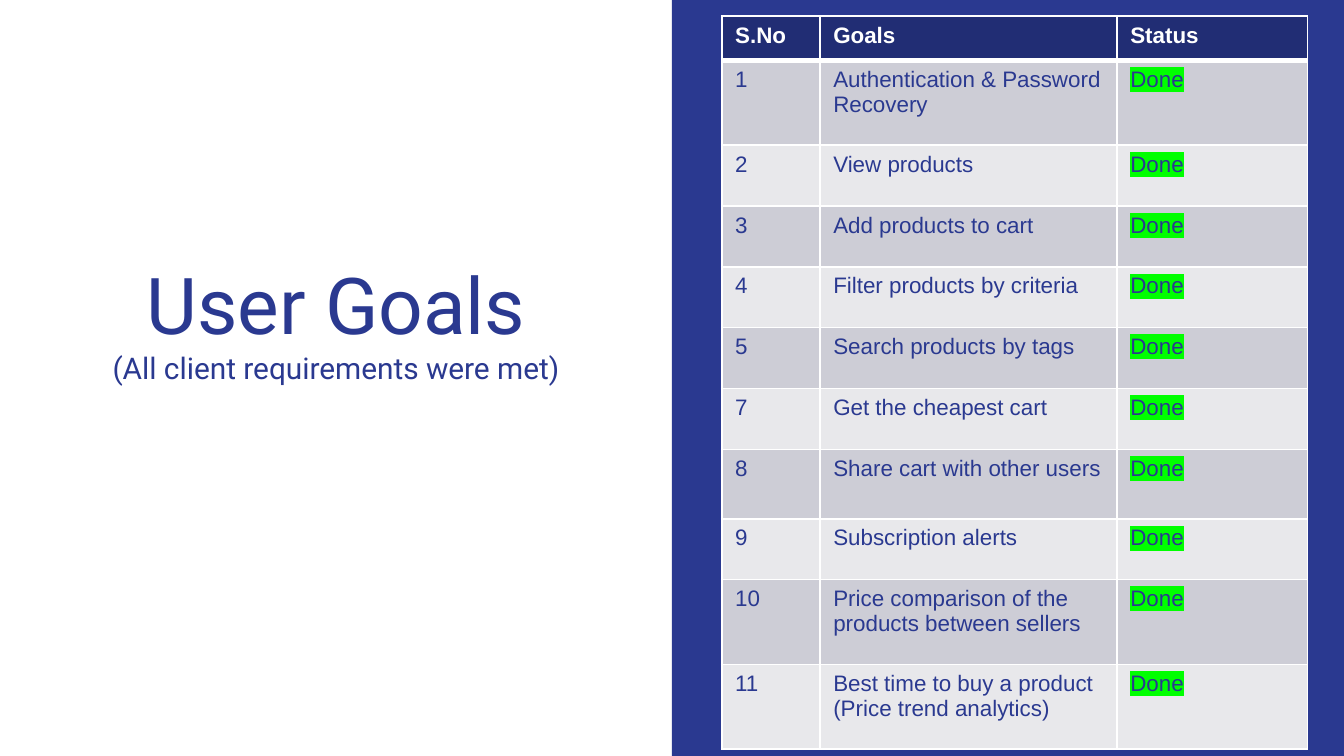
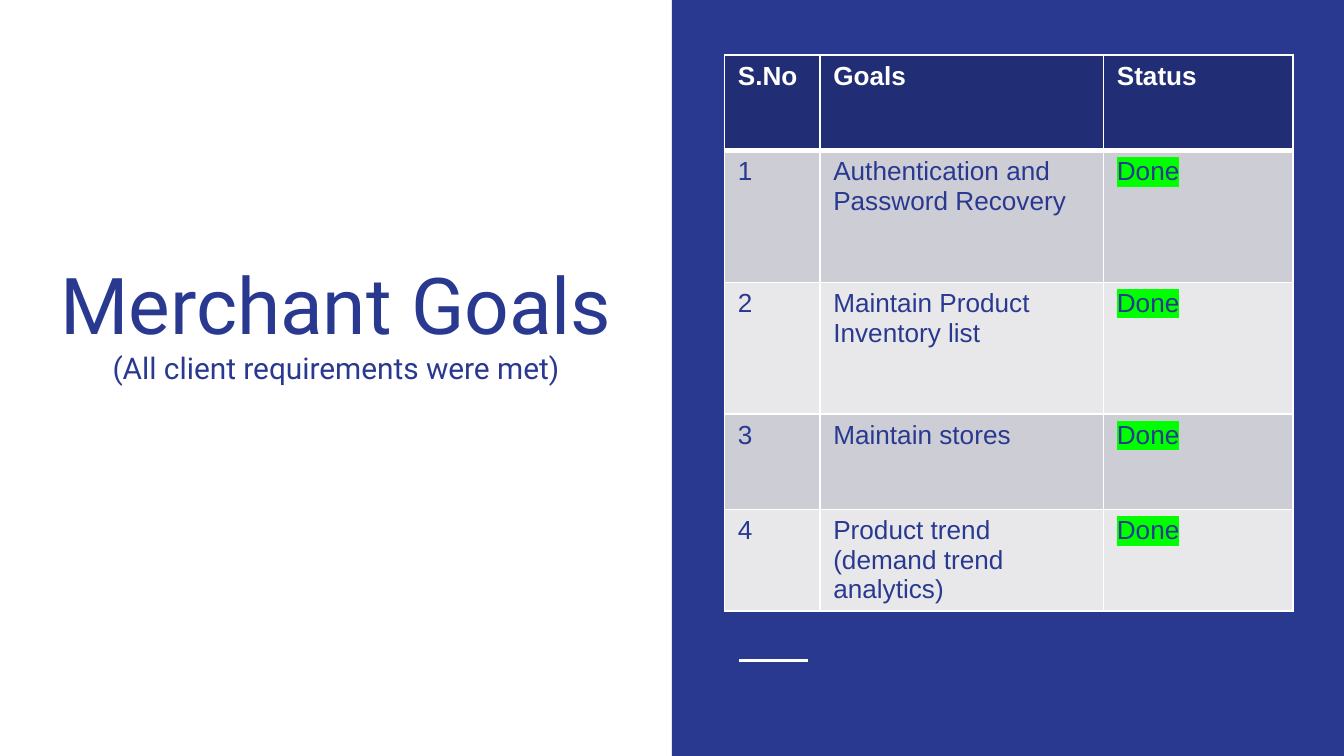
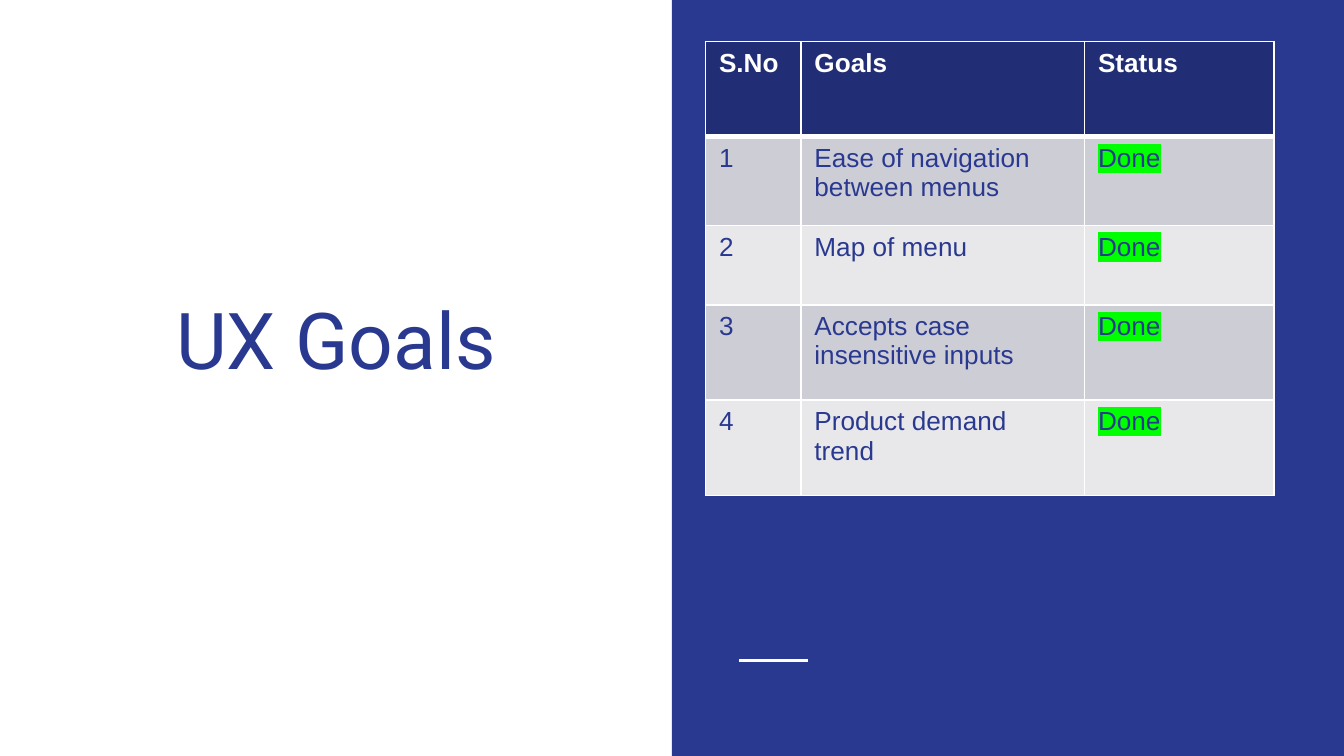
"""Build three goal-status slides, each with a title beside a table."""
from dataclasses import dataclass
from typing import Optional

from lxml.etree import SubElement
from pptx import Presentation
from pptx.dml.color import RGBColor
from pptx.enum.shapes import MSO_CONNECTOR, MSO_SHAPE
from pptx.enum.text import MSO_ANCHOR, MSO_AUTO_SIZE, PP_ALIGN
from pptx.oxml.ns import qn
from pptx.util import Emu, Inches, Pt

COLORS = {
    "blue": "2A3990",
    "navy": "212D74",
    "white": "FFFFFF",
    "odd": "CDCDD6",
    "even": "E8E8EB",
    "done": "00FF00",
}
TITLE_FONT, TABLE_FONT = "Roboto", "Arial"
TITLE_SIZE, SUBTITLE_SIZE = 42, 16
SLIDE_WIDTH, SLIDE_HEIGHT = Inches(10), Inches(5.625)
GRID = 100
HEADINGS = ("S.No", "Goals", "Status")
ALL_MET = "(All client requirements were met)"


@dataclass(frozen=True)
class Goal:
    """One numbered goal and its row height in grid rows."""
    number: int
    text: str
    height: float


@dataclass(frozen=True)
class GoalPage:
    """One slide: its title and the place, format and goals of its table."""
    title: str
    subtitle: Optional[str]
    left: float
    top: float
    columns: tuple[float, ...]
    header_height: float
    text_size: int
    goals: tuple[Goal, ...]


PAGES = (
    GoalPage("User Goals", ALL_MET, 53.7, 2.13, (7.3, 22.1, 14.2), 5.87, 12, (
        Goal(1, "Authentication &\u00a0Password Recovery", 11.2),
        Goal(2, "View products", 8.05),
        Goal(3, "Add products to cart", 8.05),
        Goal(4, "Filter products by criteria", 8.05),
        Goal(5, "Search products by tags", 8.05),
        Goal(7, "Get the cheapest cart", 8.05),
        Goal(8, "Share cart with other users", 9.2),
        Goal(9, "Subscription alerts", 8.05),
        Goal(10, "Price comparison of the products between sellers", 11.2),
        Goal(11, "Best\u00a0time to buy a product (Price trend analytics)", 11.2),
    )),
    GoalPage("Merchant Goals", ALL_MET, 53.9, 7.3, (7.1, 21.1, 14.1), 12.6, 14, (
        Goal(1, "Authentication and Password Recovery", 17.45),
        Goal(2, "Maintain Product Inventory list", 17.45),
        Goal(3, "Maintain stores", 12.6),
        Goal(4, "Product trend (demand trend analytics)", 12.6),
    )),
    GoalPage("UX Goals", None, 52.5, 5.5, (7.1, 21.1, 14.1), 12.6, 14, (
        Goal(1, "Ease of navigation between menus", 11.75),
        Goal(2, "Map of menu", 10.5),
        Goal(3, "Accepts case insensitive inputs", 12.6),
        Goal(4, "Product demand trend", 12.6),
    )),
)


def across(columns: float) -> Emu:
    """Turn grid columns into a length."""
    return Emu(round(SLIDE_WIDTH * columns / GRID))


def down(rows: float) -> Emu:
    """Turn grid rows into a length."""
    return Emu(round(SLIDE_HEIGHT * rows / GRID))


def color(name: str) -> RGBColor:
    """Look up a named colour."""
    return RGBColor.from_string(COLORS[name])


def write(para, text: str, *, size: int, font: str, ink: str = "blue",
          bold: bool = False, highlight: Optional[str] = None) -> None:
    """Add a formatted span of text to a paragraph."""
    span = para.add_run()
    span.text = text
    span.font.size = Pt(size)
    span.font.name = font
    span.font.bold = bold
    span.font.color.rgb = color(ink)
    if highlight:
        properties = span._r.get_or_add_rPr()
        marker = SubElement(properties, qn("a:highlight"))
        SubElement(marker, qn("a:srgbClr"), val=COLORS[highlight])
        properties.find(qn("a:solidFill")).addnext(marker)


def draw_panel(page) -> None:
    """Draw the blue right half and its short white rule."""
    panel = page.shapes.add_shape(
        MSO_SHAPE.RECTANGLE, across(50), 0, across(50), down(100))
    panel.shadow.inherit = False
    panel.fill.solid()
    panel.fill.fore_color.rgb = color("blue")
    panel.line.fill.background()
    rule = page.shapes.add_connector(
        MSO_CONNECTOR.STRAIGHT, across(55), down(87.4), across(60.1), down(87.4))
    rule.line.color.rgb = color("white")
    rule.line.width = Pt(1.5)
    SubElement(rule._element.spPr, qn("a:effectLst"))


def draw_title(page, content: GoalPage) -> None:
    """Place and fill the title, with its smaller second line if any."""
    box = page.shapes.title
    box.left, box.top = across(2.9), down(22.4)
    box.width, box.height = across(44.2), down(30.4)
    frame = box.text_frame
    frame.word_wrap = True
    frame.auto_size = MSO_AUTO_SIZE.NONE
    frame.vertical_anchor = MSO_ANCHOR.BOTTOM
    frame.margin_left = frame.margin_right = Inches(0.1)
    frame.margin_top = frame.margin_bottom = Inches(0.1)
    para = frame.paragraphs[0]
    para.alignment = PP_ALIGN.CENTER
    write(para, content.title, size=TITLE_SIZE, font=TITLE_FONT)
    if content.subtitle:
        para.add_line_break()
        SubElement(para._p[-1], qn("a:rPr"), sz=str(TITLE_SIZE * 100))
        write(para, content.subtitle, size=SUBTITLE_SIZE, font=TITLE_FONT)


def style_cell(cell, fill: str, top: float, bottom: float) -> None:
    """Give a cell white borders, of the given widths in points, and a fill."""
    properties = cell._tc.get_or_add_tcPr()
    for side, points in (("L", 1), ("R", 1), ("T", top), ("B", bottom)):
        border = SubElement(properties, qn(f"a:ln{side}"), w=str(Pt(points)))
        paint = SubElement(border, qn("a:solidFill"))
        SubElement(paint, qn("a:srgbClr"), val=COLORS["white"])
    cell.fill.solid()
    cell.fill.fore_color.rgb = color(fill)


def draw_table(page, content: GoalPage) -> None:
    """Draw the table of goals, with a header row and banded rows."""
    heights = [content.header_height, *(goal.height for goal in content.goals)]
    records = [HEADINGS, *((str(goal.number), goal.text, "Done")
                           for goal in content.goals)]
    table = page.shapes.add_table(
        len(records), len(HEADINGS), across(content.left), down(content.top),
        across(sum(content.columns)), down(sum(heights))).table
    for column, width in zip(table.columns, content.columns):
        column.width = across(width)
    for index, (record, height) in enumerate(zip(records, heights)):
        table.rows[index].height = down(height)
        header = index == 0
        fill = "navy" if header else "odd" if index % 2 else "even"
        for position, text in enumerate(record):
            cell = table.cell(index, position)
            style_cell(cell, fill, top=3 if index == 1 else 1,
                       bottom=3 if header else 1)
            write(cell.text_frame.paragraphs[0], text,
                  size=content.text_size, font=TABLE_FONT, bold=header,
                  ink="white" if header else "blue",
                  highlight="done" if text == "Done" else None)


def build() -> None:
    """Build and save the deck."""
    deck = Presentation()
    deck.slide_width, deck.slide_height = SLIDE_WIDTH, SLIDE_HEIGHT
    for content in PAGES:
        page = deck.slides.add_slide(deck.slide_layouts.get_by_name("Title Only"))
        page.background.fill.solid()
        page.background.fill.fore_color.rgb = color("white")
        draw_panel(page)
        draw_title(page, content)
        draw_table(page, content)
    deck.save("out.pptx")


build()
